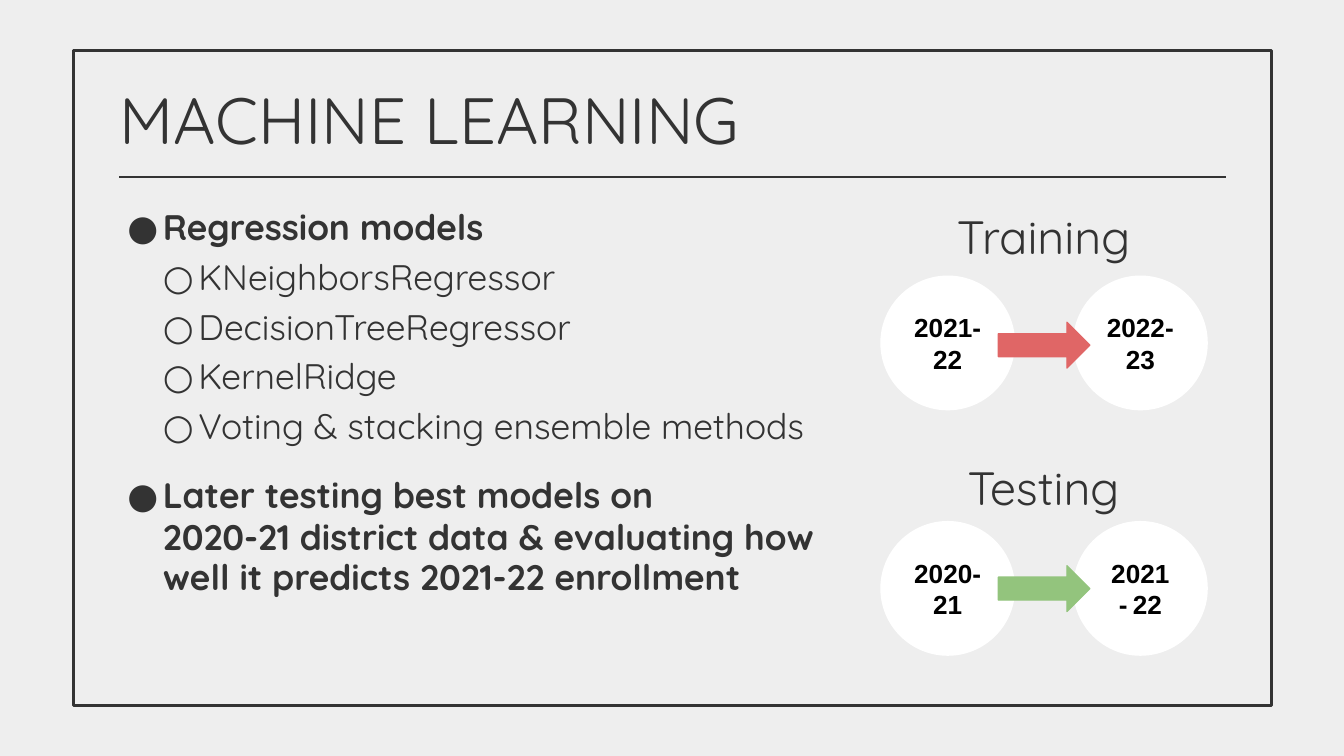
from dataclasses import dataclass

from lxml import etree
from pptx import Presentation
from pptx.dml.color import RGBColor
from pptx.enum import shapes, text
from pptx.oxml.ns import qn
from pptx.util import Pt


@dataclass(frozen=True)
class Theme:
    back: str = "EEEEEE"
    ink: str = "333333"
    disc: str = "FFFFFF"
    label: str = "000000"
    train: str = "E06666"
    test: str = "93C47D"
    font: str = "Quicksand"
    sans: str = "Arial"
    title: float = 35
    head: float = 25
    body: float = 19
    year: float = 14
    gap: float = 10


class Deck:
    def __init__(self, theme):
        self.theme = theme
        self.prs = Presentation()
        self.prs.slide_width, self.prs.slide_height = Pt(720), Pt(405)
        self.slide = self.prs.slides.add_slide(self.prs.slide_layouts[5])
        fill = self.slide.background.fill
        fill.solid()
        fill.fore_color.rgb = RGBColor.from_string(theme.back)

    def style(self, run, size, color=None, font=None, bold=False):
        run.font.size = Pt(size)
        run.font.name = font or self.theme.font
        run.font.bold = bold
        run.font.color.rgb = RGBColor.from_string(color or self.theme.ink)

    def frame(self, shape, anchor=text.MSO_ANCHOR.TOP):
        tf = shape.text_frame
        tf.word_wrap = True
        tf.auto_size = text.MSO_AUTO_SIZE.NONE
        tf.vertical_anchor = anchor
        tf.margin_left = tf.margin_right = Pt(7.2)
        tf.margin_top = tf.margin_bottom = Pt(7.2)
        return tf

    def box(self, x, y, w, h):
        return self.slide.shapes.add_textbox(Pt(x), Pt(y), Pt(w), Pt(h))

    def words(self, shape, line, size, align):
        tf = self.frame(shape)
        tf.text = line
        para = tf.paragraphs[0]
        para.alignment = align
        self.style(para.runs[0], size)

    def title(self, line, x, y, w, h):
        shape = self.slide.shapes.title
        shape.left, shape.top = Pt(x), Pt(y)
        shape.width, shape.height = Pt(w), Pt(h)
        self.words(shape, line, self.theme.title, text.PP_ALIGN.LEFT)

    def head(self, line, x, y, w, h):
        self.words(self.box(x, y, w, h), line, self.theme.head, text.PP_ALIGN.CENTER)

    def shape(self, kind, x, y, w, h, fill=None, line=None, width=0.75):
        shape = self.slide.shapes.add_shape(kind, Pt(x), Pt(y), Pt(w), Pt(h))
        shape.shadow.inherit = False
        if fill:
            shape.fill.solid()
            shape.fill.fore_color.rgb = RGBColor.from_string(fill)
        else:
            shape.fill.background()
        shape.line.color.rgb = RGBColor.from_string(line or fill)
        shape.line.width = Pt(width)
        return shape

    def rule(self, x, y, end):
        line = self.slide.shapes.add_connector(
            shapes.MSO_CONNECTOR.STRAIGHT, Pt(x), Pt(y), Pt(end), Pt(y))
        line.line.color.rgb = RGBColor.from_string(self.theme.ink)
        line.line.width = Pt(1.5)
        etree.SubElement(line._element.spPr, qn("a:effectLst"))

    def disc(self, x, y, size, start, end):
        th = self.theme
        shape = self.shape(shapes.MSO_SHAPE.OVAL, x, y, size, size, th.disc)
        para = self.frame(shape, text.MSO_ANCHOR.MIDDLE).paragraphs[0]
        para.alignment = text.PP_ALIGN.CENTER
        for part, pts in ((start, th.year), (" ", th.gap), (end, th.year)):
            run = para.add_run()
            run.text = part
            self.style(run, pts, th.label, th.sans, True)

    def bullet(self, para, mark, left, hang):
        props = para._p.get_or_add_pPr()
        props.set("marL", str(Pt(left)))
        props.set("indent", str(Pt(-hang)))
        if mark:
            color = etree.SubElement(props, qn("a:buClr"))
            etree.SubElement(color, qn("a:srgbClr"), val=self.theme.ink)
            etree.SubElement(props, qn("a:buFont"), typeface=self.theme.font)
            etree.SubElement(props, qn("a:buChar"), char=mark)
        else:
            etree.SubElement(props, qn("a:buNone"))

    def list(self, rows, x, y, w, h):
        tf = self.frame(self.box(x, y, w, h))
        tf.text = "\n".join(row[0] for row in rows)
        for para, (_, level, mark, space) in zip(tf.paragraphs, rows):
            para.level = level
            para.line_spacing = 0.95
            para.space_before = Pt(space)
            self.bullet(para, mark, 19 * (level + 1), 19 if mark else 0)
            self.style(para.runs[0], self.theme.body, bold=level == 0)

    def flow(self, name, top, years, y, color, drop):
        self.head(name, 433.5, top, 251, 45)
        for i, (start, end) in enumerate(years):
            self.disc(472 + 103.2 * i, y, 71.5, start, end)
        self.shape(shapes.MSO_SHAPE.RIGHT_ARROW, 534.8, y + drop, 49, 24.5, color)


def main():
    theme = Theme()
    deck = Deck(theme)
    deck.shape(shapes.MSO_SHAPE.RECTANGLE, 39.5, 27, 641.5, 351, line=theme.ink, width=1.5)
    deck.title("MACHINE LEARNING", 57, 35.3, 607, 45)
    deck.rule(64, 94.8, 656.6)
    models = ("KNeighborsRegressor", "DecisionTreeRegressor", "KernelRidge",
              "Voting & stacking ensemble methods")
    rows = [
        ("Regression models", 0, "●", 0),
        *((name, 1, "○", 5) for name in models),
        ("Later testing best models on", 0, "●", 15),
        ("2020-21 district data & evaluating how well it predicts 2021-22 enrollment",
         0, None, 1),
    ]
    deck.list(rows, 61.2, 104.4, 404, 254)
    deck.flow("Training", 104.4, (("2021-", "22"), ("2022-", "23")), 148, theme.train, 24.7)
    deck.flow("Testing", 238.5, (("2020-", "21"), ("2021 -", "22")), 279.5, theme.test, 23.6)
    deck.prs.save("out.pptx")


if __name__ == "__main__":
    main()
